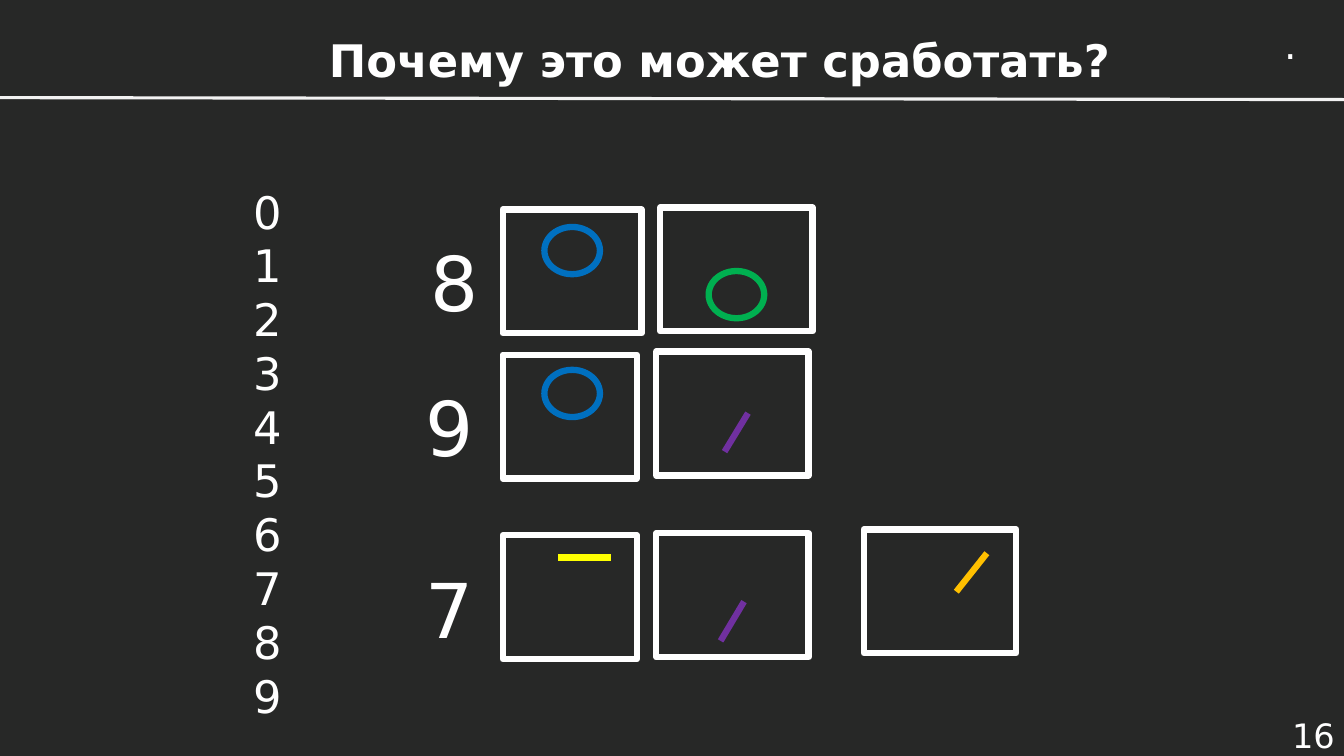
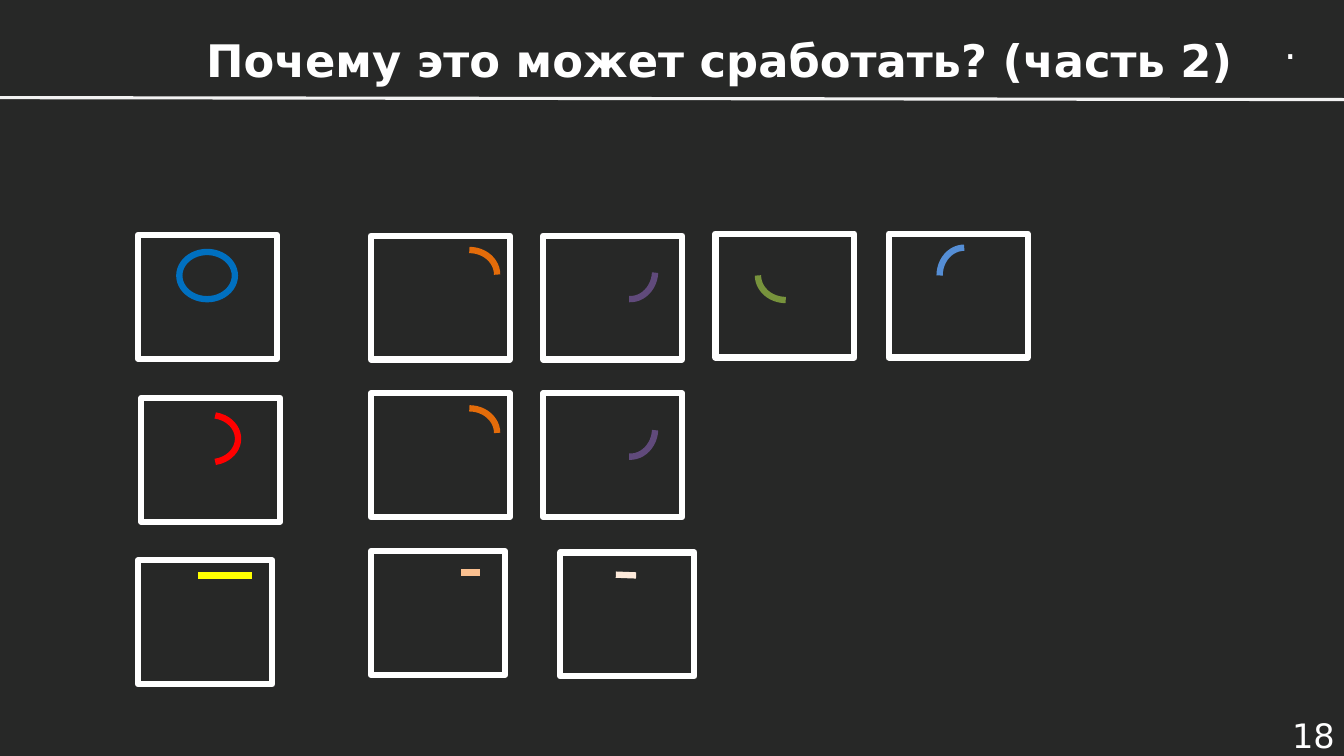
from pptx import Presentation
from pptx import util as u
from pptx.dml.color import RGBColor
from pptx.enum import shapes, text
from pptx.oxml.ns import qn
from lxml import etree

FONT = "DejaVu Sans"
BACKGROUND, WHITE, RULE = "272827", "FFFFFF", "F2F2F2"
BLUE, GREEN, RED, YELLOW = "0070C0", "00B050", "FF0000", "FFFF00"
VIOLET, AMBER, ORANGE, PLUM = "7030A0", "FFC000", "E46C0A", "604A7B"
OLIVE, SKY, PEACH, CREAM = "77933C", "558ED5", "FAC090", "FDEADA"

STROKE = 4.5
FRAME_HEIGHT = 3.12
NARROW, MEDIUM, WIDE = 3.38, 3.5, 3.84
RING_SIZE = (1.4, 1.19)
ARC_SIZE = (1.4, 1.24)
HALF_ARC = (169.2, 46.8)

SLIDES = [
    {
        "title": "Почему это может сработать?",
        "number": "16",
        "labels": [
            ("0 1 2 3 4 5 6 7 8 9".split(), (6.12, 4.52, 1.24, 13.94), 32),
            (["8"], (10.59, 5.82, 1.73, 2.57), 54),
            (["9"], (10.46, 9.47, 1.73, 2.57), 54),
            (["7"], (10.46, 14.05, 1.73, 2.57), 54),
        ],
        "frames": [
            (12.67, 5.28, MEDIUM), (16.64, 5.23, WIDE),
            (12.67, 8.94, NARROW), (16.54, 8.86, WIDE),
            (12.67, 13.49, NARROW), (16.54, 13.44, WIDE), (21.77, 13.34, WIDE),
        ],
        "rings": [(13.72, 5.72, BLUE), (17.86, 6.83, GREEN), (13.72, 9.32, BLUE)],
        "arcs": [],
        "half_rings": [],
        "dashes": [
            (18.85, 10.41, 18.26, 11.38, VIOLET),
            (18.75, 15.16, 18.16, 16.15, VIOLET),
            (15.39, 14.05, 14.05, 14.05, YELLOW),
            (24.87, 13.94, 24.1, 14.91, AMBER),
        ],
    },
    {
        "title": "Почему это может сработать? (часть 2)",
        "number": "18",
        "labels": [],
        "frames": [
            (3.48, 5.92, MEDIUM), (9.35, 5.94, MEDIUM), (13.69, 5.94, MEDIUM),
            (18.03, 5.89, MEDIUM), (22.4, 5.89, MEDIUM),
            (3.56, 10.03, MEDIUM), (9.35, 9.91, MEDIUM), (13.69, 9.91, MEDIUM),
            (3.48, 14.12, NARROW), (9.35, 13.89, NARROW), (14.12, 13.92, NARROW),
        ],
        "rings": [(4.52, 6.35, BLUE)],
        "arcs": [
            (11.13, 6.3, 0, ORANGE), (15.19, 6.22, 93, PLUM),
            (19.1, 6.32, 180, OLIVE), (23.6, 6.32, 270, SKY),
            (11.13, 10.29, 0, ORANGE), (15.19, 10.19, 93, PLUM),
        ],
        "half_rings": [(4.6, 10.46, RED)],
        "dashes": [
            (6.35, 14.5, 5, 14.5, YELLOW),
            (12.09, 14.43, 11.63, 14.43, PEACH),
            (16.03, 14.5, 15.52, 14.48, CREAM),
        ],
    },
]


def color(value):
    return RGBColor.from_string(value)


def cm(*values):
    return [u.Cm(value) for value in values]


def write(shape, lines, size, align, anchor=text.MSO_ANCHOR.TOP, wrap=False, bold=False):
    frame = shape.text_frame
    frame.text = "\n".join(lines)
    frame.word_wrap = wrap
    frame.auto_size = text.MSO_AUTO_SIZE.NONE
    frame.vertical_anchor = anchor
    for paragraph in frame.paragraphs:
        paragraph.alignment = align
        for run in paragraph.runs:
            font = run.font
            font.name, font.size, font.bold = FONT, u.Pt(size), bold
            font.color.rgb = color(WHITE)


def add_label(slide, lines, box, size, align=text.PP_ALIGN.CENTER, **options):
    write(slide.shapes.add_textbox(*cm(*box)), lines, size, align, **options)


def add_outline(slide, kind, box, stroke_color):
    shape = slide.shapes.add_shape(kind, *cm(*box))
    shape.shadow.inherit = False
    shape.fill.background()
    shape.line.color.rgb = color(stroke_color)
    shape.line.width = u.Pt(STROKE)
    return shape


def add_line(slide, ends, stroke_color, width=STROKE):
    line = slide.shapes.add_connector(shapes.MSO_CONNECTOR.STRAIGHT, *cm(*ends))
    line.line.color.rgb = color(stroke_color)
    line.line.width = u.Pt(width)
    etree.SubElement(line._element.spPr, qn("a:effectLst"))


def add_base(presentation, content):
    slide = presentation.slides.add_slide(presentation.slide_layouts[5])
    title = slide.shapes.title
    title.left, title.top, title.width, title.height = cm(3.94, 1.12, 28.4, 0.76)
    middle = text.MSO_ANCHOR.MIDDLE
    write(title, [content["title"]], 32, text.PP_ALIGN.CENTER, middle, wrap=True, bold=True)
    add_line(slide, (0, 2.46, 33.87, 2.51), RULE, 2.25)
    add_label(slide, ["."], (32.11, 0.38, 0.86, 1.45), 28, text.PP_ALIGN.LEFT)
    add_label(slide, [content["number"]], (31.22, 17.98, 2.67, 1.07), 24,
              text.PP_ALIGN.RIGHT, anchor=middle, wrap=True)
    return slide


def add_drawings(slide, content):
    kinds = shapes.MSO_SHAPE
    for lines, box, size in content["labels"]:
        add_label(slide, lines, box, size)
    for left, top, stroke_color in content["rings"]:
        add_outline(slide, kinds.OVAL, (left, top, *RING_SIZE), stroke_color)
    for left, top, width in content["frames"]:
        add_outline(slide, kinds.RECTANGLE, (left, top, width, FRAME_HEIGHT), WHITE)
    for left, top, rotation, stroke_color in content["arcs"]:
        arc = add_outline(slide, kinds.ARC, (left, top, *ARC_SIZE), stroke_color)
        arc.rotation = rotation
    for left, top, stroke_color in content["half_rings"]:
        arc = add_outline(slide, kinds.ARC, (left, top, *RING_SIZE), stroke_color)
        arc.adjustments[0], arc.adjustments[1] = HALF_ARC
    for *ends, stroke_color in content["dashes"]:
        add_line(slide, ends, stroke_color)


def main():
    presentation = Presentation()
    presentation.slide_width, presentation.slide_height = cm(33.87, 19.05)
    background = presentation.slide_master.background.fill
    background.solid()
    background.fore_color.rgb = color(BACKGROUND)
    for content in SLIDES:
        add_drawings(add_base(presentation, content), content)
    presentation.save("out.pptx")


if __name__ == "__main__":
    main()
